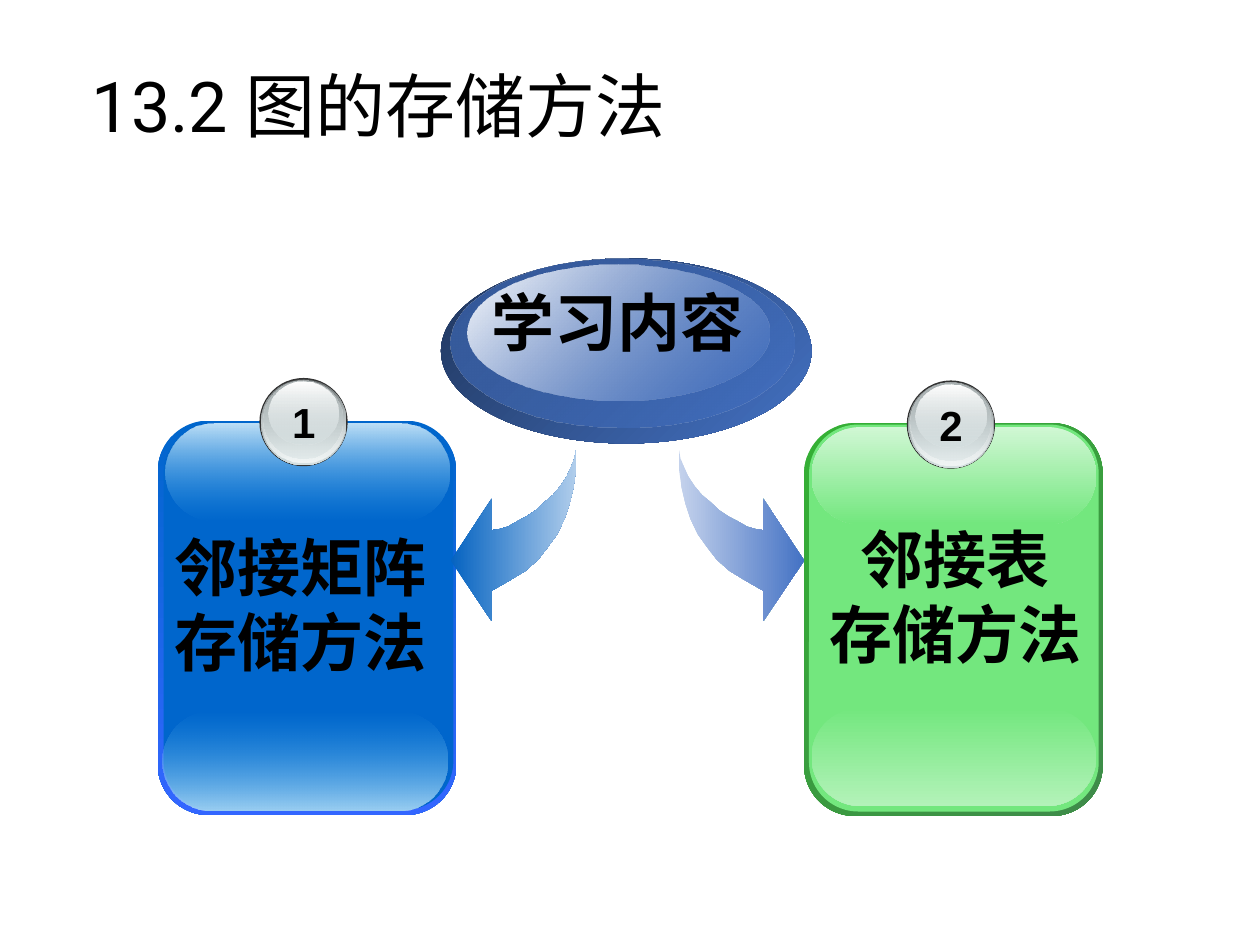
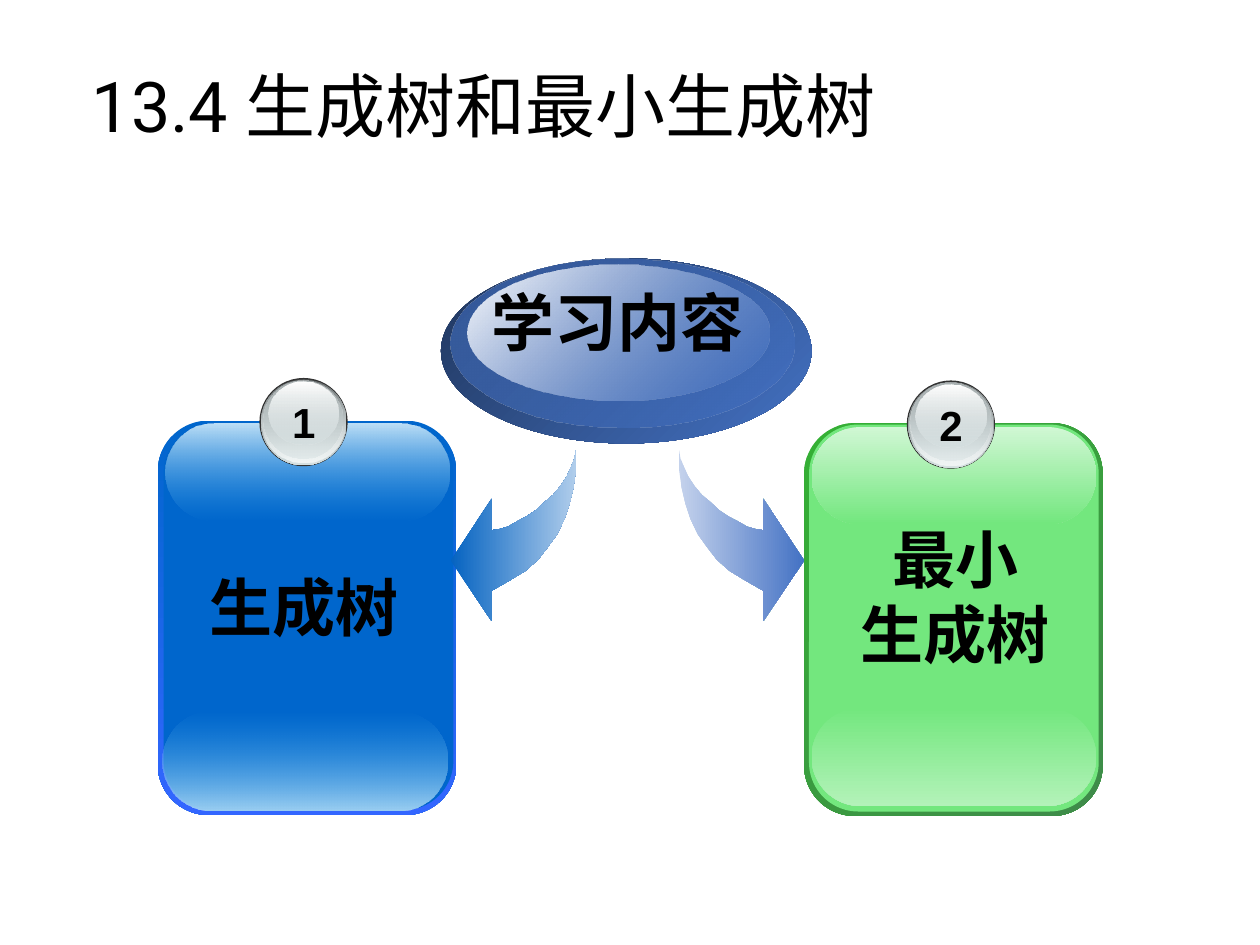
"""Build the two chapter overview slides on graph storage and spanning trees."""
from dataclasses import dataclass

from lxml import etree
from pptx import Presentation
from pptx import util as u
from pptx.dml.color import RGBColor
from pptx.enum import shapes, text
from pptx.oxml import ns

ROUND = shapes.MSO_SHAPE.ROUNDED_RECTANGLE
OVAL = shapes.MSO_SHAPE.OVAL


@dataclass(frozen=True)
class Gradient:
    """Two-colour linear gradient; the angle runs clockwise, opacity in percent."""
    start: str
    end: str
    angle: int = 90
    start_opacity: int = 100
    end_opacity: int = 100


@dataclass(frozen=True)
class Theme:
    """Colours, fonts and type sizes shared by the slides."""
    ink: str = "000000"
    font: str = "Arial"
    number_font: str = "Roboto"
    title_size: int = 40
    label_size: int = 36
    badge_size: int = 24
    badge: tuple = (
        "333333",
        Gradient("636869", "D6E1E2"),
        Gradient("D6E1E2", "F1F5F5", start_opacity=0),
        Gradient("AAB2B3", "D6E1E2", end_opacity=48),
        Gradient("FFFFFF", "D6E1E2", end_opacity=38),
    )
    hub: tuple = (
        Gradient("1F355B", "4472C4", 45),
        Gradient("365A9B", "4472C4", 45, end_opacity=48),
        Gradient("FFFFFF", "4472C4", 45, end_opacity=38),
    )
    left_arrow: Gradient = Gradient("0563C1", "B0CDEB", 0)
    right_arrow: Gradient = Gradient("C4D2EC", "4472C4", 0)


@dataclass(frozen=True)
class Panel:
    """Areas (left, top, width, height in cm) and fills of one glossy panel."""
    number: str
    layers: tuple
    badge_at: tuple


THEME = Theme()
PANELS = (
    Panel("1", (
        ((3.18, 8.48, 6.02, 7.95), Gradient("0066CC", "3366FF"), 0.17),
        ((3.3, 8.53, 5.84, 7.8), "0066CC", 0.17),
        ((3.28, 14.35, 5.74, 1.98), Gradient("3CA1E6", "9BCFF2", start_opacity=0), 0.5),
        ((3.33, 8.53, 5.74, 1.96), Gradient("BEE0F7", "3CA1E6", end_opacity=0), 0.5),
    ), (5.23, 7.62)),
    Panel("2", (
        ((16.21, 8.53, 6.02, 7.92), Gradient("34B034", "3F8B4A", 45), 0.17),
        ((16.31, 8.56, 5.84, 7.8), "73E77E", 0.17),
        ((16.36, 14.27, 5.74, 1.98), Gradient("73E77E", "B3F2B9"), 0.5),
        ((16.36, 8.61, 5.74, 1.96), Gradient("D0F7D4", "73E77E"), 0.5),
    ), (18.28, 7.67)),
)
BADGE_AREAS = (
    (0, 0, 1.78, 1.78), (0.03, 0.03, 1.73, 1.73), (0.05, 0.03, 1.68, 1.68),
    (0.08, 0.05, 1.6, 1.57), (0.18, 0.08, 1.42, 1.27),
)
BADGE_TEXT = (0.41, 0.25, 0.97, 1.27)
HUB_AREAS = ((8.89, 5.21, 7.47, 3.73), (9.09, 5.21, 6.93, 3.4), (9.42, 5.33, 6.1, 2.74))
HUB_TEXT = (9.58, 5.59, 5.72, 1.78)
TITLE_AREA = (1.6, 0.53, 22.22, 3.38)
MIRROR_SUM = 25.3
LEFT_ARROW = (
    (11.61, 9.07), (11.61, 9.47), (11.56, 9.83), (11.48, 10.16), (11.38, 10.46),
    (11.23, 10.77), (11.05, 11.02), (10.85, 11.28), (10.59, 11.51), (10.26, 11.71),
    (9.91, 11.91), (9.91, 12.52), (9.09, 11.3), (9.91, 10.06), (9.91, 10.69),
    (10.06, 10.67), (10.24, 10.62), (10.41, 10.52), (10.62, 10.41), (10.8, 10.29),
    (10.97, 10.13), (11.15, 9.98), (11.3, 9.8), (11.43, 9.6), (11.51, 9.42), (11.58, 9.25),
)
RIGHT_LABEL = (16.43, 10.36, 5.66, 3.3)
CHAPTERS = (
    ("13.2 ", "图的存储方法", (
        (("邻接矩阵存储方法",), (3.23, 10.52, 5.66, 3.3)),
        (("邻接表", "存储方法"), RIGHT_LABEL),
    )),
    ("13.4 ", "生成树和最小生成树", (
        (("生成树",), (3.3, 11.33, 5.66, 1.78)),
        (("最小", "生成树"), RIGHT_LABEL),
    )),
)


def lengths(area):
    """Turn centimetre numbers into lengths."""
    return [u.Cm(value) for value in area]


def shifted(area, origin):
    """Move an area by the given origin."""
    left, top, width, height = area
    return origin[0] + left, origin[1] + top, width, height


def paint(shape, fill):
    """Fill a shape with a colour or gradient, without line or shadow."""
    shape.shadow.inherit = False
    shape.line.fill.background()
    if isinstance(fill, str):
        shape.fill.solid()
        shape.fill.fore_color.rgb = RGBColor.from_string(fill)
        return
    shape.fill.gradient()
    shape.fill.gradient_angle = 360 - fill.angle
    for stop, colour, position in zip(shape.fill.gradient_stops, (fill.start, fill.end), (0, 1)):
        stop.color.rgb = RGBColor.from_string(colour)
        stop.position = position
    colours = shape._element.xpath(".//a:gs/a:srgbClr")
    for colour, opacity in zip(colours, (fill.start_opacity, fill.end_opacity)):
        if opacity < 100:
            etree.SubElement(colour, ns.qn("a:alpha"), val=str(opacity * 1000))


def add_preset(page, kind, area, fill, corner=None):
    """Add a painted preset shape."""
    shape = page.shapes.add_shape(kind, *lengths(area))
    if corner is not None:
        shape.adjustments[0] = corner
    paint(shape, fill)


def add_span(para, words, size, font, bold):
    """Add one formatted run."""
    span = para.add_run()
    span.text = words
    span.font.size = u.Pt(size)
    span.font.name = font
    span.font.bold = bold
    span.font.color.rgb = RGBColor.from_string(THEME.ink)


def add_label(page, lines, area, size, wrap=True):
    """Add a centred bold text box with one paragraph per line."""
    box = page.shapes.add_textbox(*lengths(area))
    frame = box.text_frame
    frame.word_wrap = wrap
    frame.auto_size = text.MSO_AUTO_SIZE.SHAPE_TO_FIT_TEXT
    for index, line in enumerate(lines):
        para = frame.add_paragraph() if index else frame.paragraphs[0]
        para.alignment = text.PP_ALIGN.CENTER
        add_span(para, line, size, THEME.font, True)


def set_title(page, number, words):
    """Place the title and write its number and words."""
    title = page.shapes.title
    title.left, title.top, title.width, title.height = lengths(TITLE_AREA)
    frame = title.text_frame
    frame.vertical_anchor = text.MSO_ANCHOR.MIDDLE
    para = frame.paragraphs[0]
    para.alignment = text.PP_ALIGN.LEFT
    para.line_spacing = 0.9
    add_span(para, number, THEME.title_size, THEME.number_font, False)
    add_span(para, words, THEME.title_size, THEME.font, False)


def add_panel(page, panel):
    """Add a glossy panel with its numbered badge."""
    for area, fill, corner in panel.layers:
        add_preset(page, ROUND, area, fill, corner)
    for area, fill in zip(BADGE_AREAS, THEME.badge):
        add_preset(page, OVAL, shifted(area, panel.badge_at), fill)
    add_label(page, (panel.number,), shifted(BADGE_TEXT, panel.badge_at), THEME.badge_size, False)


def add_hub(page):
    """Add the central oval and its caption."""
    for area, fill in zip(HUB_AREAS, THEME.hub):
        add_preset(page, OVAL, area, fill)
    add_label(page, ("学习内容",), HUB_TEXT, THEME.label_size)


def add_arrow(page, points, fill):
    """Add a curved arrow outline."""
    start, *rest = [lengths(point) for point in points]
    outline = page.shapes.build_freeform(*start)
    outline.add_line_segments(rest, close=True)
    paint(outline.convert_to_shape(), fill)


def add_chapter(deck, number, words, labels):
    """Add one overview slide."""
    page = deck.slides.add_slide(deck.slide_layouts[5])
    set_title(page, number, words)
    for panel in PANELS:
        add_panel(page, panel)
    add_hub(page)
    add_arrow(page, LEFT_ARROW, THEME.left_arrow)
    add_arrow(page, [(MIRROR_SUM - x, y) for x, y in LEFT_ARROW], THEME.right_arrow)
    for lines, area in labels:
        add_label(page, lines, area, THEME.label_size)


def main():
    """Build and save the deck."""
    deck = Presentation()
    deck.slide_width, deck.slide_height = u.Cm(25.4), u.Cm(19.05)
    for number, words, labels in CHAPTERS:
        add_chapter(deck, number, words, labels)
    deck.save("out.pptx")


if __name__ == "__main__":
    main()
